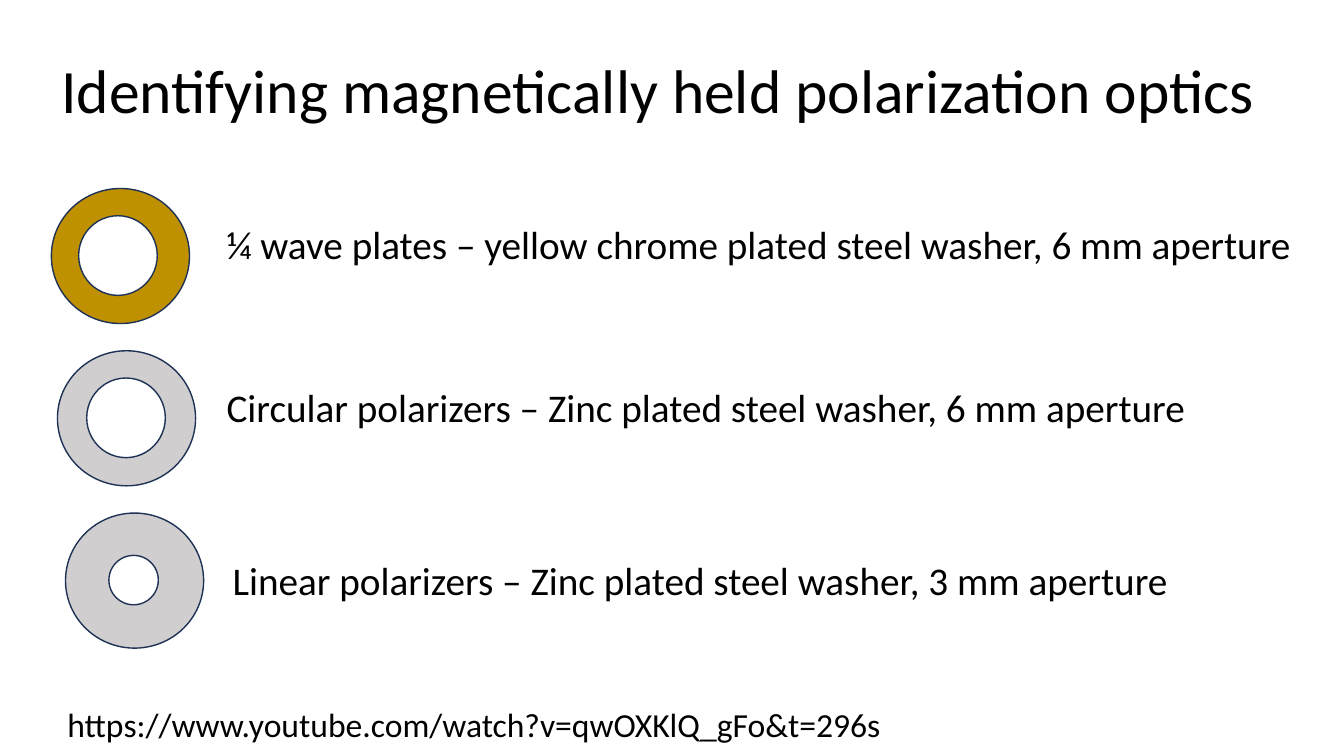
from dataclasses import dataclass

from pptx import Presentation
from pptx.dml.color import RGBColor
from pptx.enum.shapes import MSO_SHAPE
from pptx.enum.text import MSO_AUTO_SIZE
from pptx.util import Inches, Pt

ELLIPSE = MSO_SHAPE.OVAL
GROW_TO_FIT = MSO_AUTO_SIZE.SHAPE_TO_FIT_TEXT


@dataclass(frozen=True)
class Theme:
    font: str = "Calibri"
    text: RGBColor = RGBColor(0x00, 0x00, 0x00)
    aperture: RGBColor = RGBColor(0xFF, 0xFF, 0xFF)
    chrome: RGBColor = RGBColor(0xBF, 0x90, 0x00)
    zinc: RGBColor = RGBColor(0xD0, 0xCE, 0xCE)
    outline: RGBColor = RGBColor(0x1E, 0x32, 0x56)
    outline_width: float = 1
    title_size: int = 44
    label_size: int = 28
    link_size: int = 24


class OpticsSlide:
    def __init__(self, slide, theme):
        self.slide = slide
        self.theme = theme

    def text(self, wording, left, top, width, height, size):
        box = self.slide.shapes.add_textbox(
            Inches(left), Inches(top), Inches(width), Inches(height))
        frame = box.text_frame
        frame.word_wrap = True
        frame.auto_size = GROW_TO_FIT
        paragraph = frame.paragraphs[0]
        paragraph.text = wording
        paragraph.font.name = self.theme.font
        paragraph.font.size = Pt(size)
        paragraph.font.color.rgb = self.theme.text

    def disc(self, parent, left, top, width, height, color):
        disc = parent.shapes.add_shape(
            ELLIPSE, Inches(left), Inches(top), Inches(width), Inches(height))
        disc.shadow.inherit = False
        disc.fill.solid()
        disc.fill.fore_color.rgb = color
        disc.line.color.rgb = self.theme.outline
        disc.line.width = Pt(self.theme.outline_width)

    def washer(self, left, top, plating, hole_offset, hole_size):
        """Group a plated disc with its aperture, placed relative to the disc."""
        group = self.slide.shapes.add_group_shape()
        self.disc(group, left, top, 1.37, 1.34, plating)
        dx, dy = hole_offset
        self.disc(group, left + dx, top + dy, *hole_size, self.theme.aperture)


def main():
    presentation = Presentation()
    presentation.slide_width = Inches(13.33)
    presentation.slide_height = Inches(7.5)
    theme = Theme()
    page = OpticsSlide(
        presentation.slides.add_slide(presentation.slide_layouts[6]), theme)

    page.text("Identifying magnetically held polarization optics",
              0.51, 0.47, 12.93, 0.84, theme.title_size)

    wide, narrow = (0.78, 0.79), (0.49, 0.49)
    # washer left, plating, hole offset, hole size, label left, label drop, label
    optics = [
        (0.51, theme.chrome, (0.27, 0.27), wide, 2.15, 0.27,
         "¼ wave plates – yellow chrome plated steel washer, 6 mm aperture"),
        (0.57, theme.zinc, (0.29, 0.27), wide, 2.15, 0.27,
         "Circular polarizers – Zinc plated steel washer, 6 mm aperture"),
        (0.65, theme.zinc, (0.43, 0.42), narrow, 2.21, 0.38,
         "Linear polarizers – Zinc plated steel washer, 3 mm aperture"),
    ]
    first_top, row_pitch = 1.87, 1.61
    for row, (left, plating, offset, hole, label_left, drop, label) in enumerate(optics):
        top = first_top + row * row_pitch
        page.washer(left, top, plating, offset, hole)
        page.text(label, label_left, top + drop, 10.8, 0.57, theme.label_size)

    page.text("https://www.youtube.com/watch?v=qwOXKlQ_gFo&t=296s",
              0.57, 6.93, 8.46, 0.5, theme.link_size)

    presentation.save("out.pptx")


if __name__ == "__main__":
    main()
